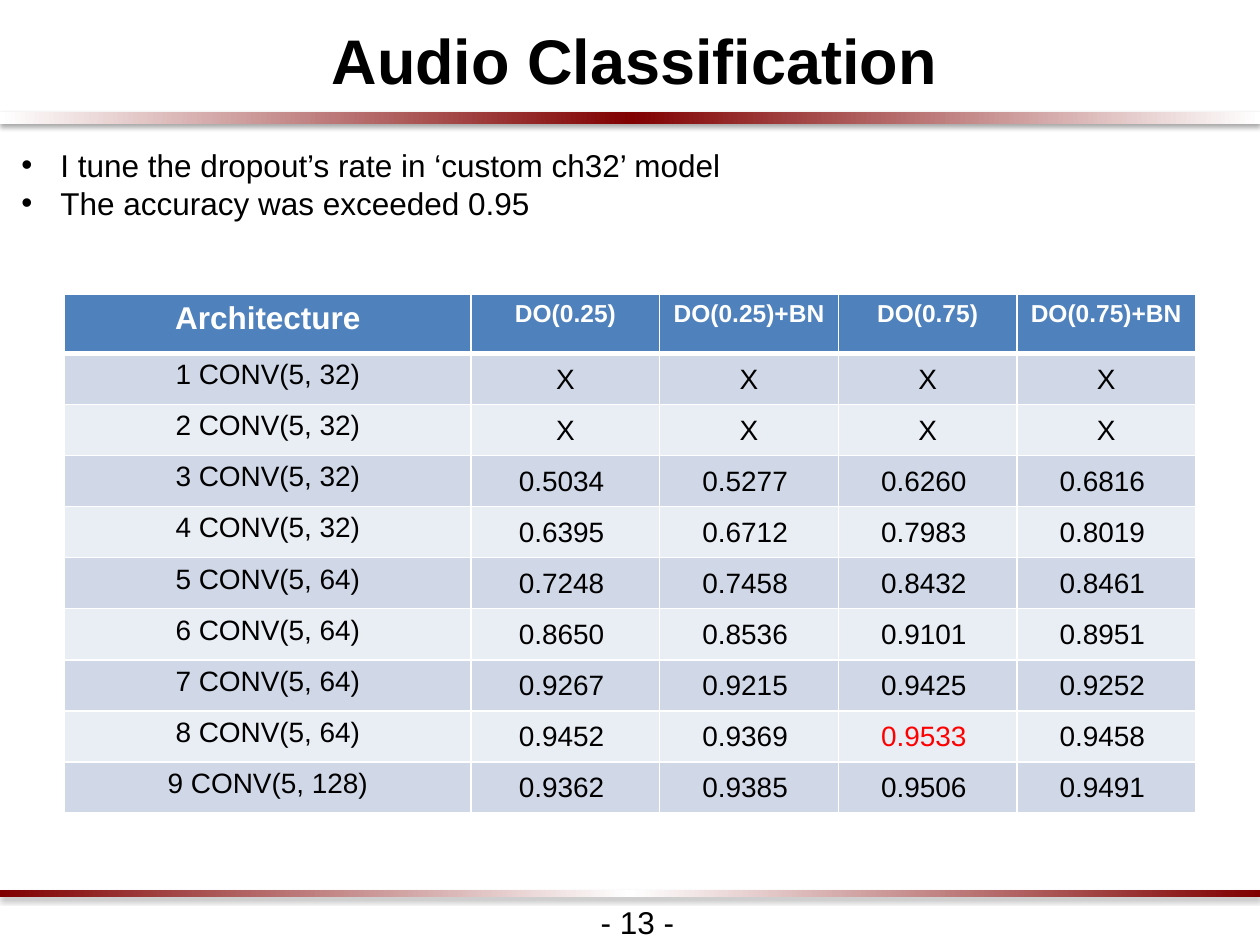
"""Build the audio classification slide with its dropout accuracy table."""
from pptx import Presentation
from pptx.dml.color import RGBColor
from pptx.enum.shapes import MSO_SHAPE
from pptx.enum.text import MSO_ANCHOR, PP_ALIGN
from pptx.oxml import parse_xml
from pptx.util import Cm, Pt

RECT = MSO_SHAPE.RECTANGLE
MIDDLE = MSO_ANCHOR.MIDDLE
CENTER = PP_ALIGN.CENTER
FONT = "Arial"
NS = 'xmlns:a="http://schemas.openxmlformats.org/drawingml/2006/main"'

COLORS = {
    "black": "000000", "white": "FFFFFF", "maroon": "800000", "red": "FF0000",
    "head": "4F81BD", "odd": "D0D8E8", "even": "E9EDF4",
}
TITLE = "Audio Classification"
POINTS = [
    "I tune the dropout’s rate in ‘custom ch32’ model",
    "The accuracy was exceeded 0.95",
]
PAGE = "- 13 -"
HEADS = ["Architecture", "DO(0.25)", "DO(0.25)+BN", "DO(0.75)", "DO(0.75)+BN"]
SCORES = [
    ("1 CONV(5, 32)", "X", "X", "X", "X"),
    ("2 CONV(5, 32)", "X", "X", "X", "X"),
    ("3 CONV(5, 32)", 0.5034, 0.5277, 0.6260, 0.6816),
    ("4 CONV(5, 32)", 0.6395, 0.6712, 0.7983, 0.8019),
    ("5 CONV(5, 64)", 0.7248, 0.7458, 0.8432, 0.8461),
    ("6 CONV(5, 64)", 0.8650, 0.8536, 0.9101, 0.8951),
    ("7 CONV(5, 64)", 0.9267, 0.9215, 0.9425, 0.9252),
    ("8 CONV(5, 64)", 0.9452, 0.9369, 0.9533, 0.9458),
    ("9 CONV(5, 128)", 0.9362, 0.9385, 0.9506, 0.9491),
]
BARS = [
    (2.26, 0.25, ("white", "maroon", "white")),
    (17.95, 0.13, ("maroon", "white", "maroon")),
]
WIDTHS = [8.2, 3.8, 3.6, 3.6, 3.6]
HEAD_H, ROW_H = 1.19, 1.03


def style(para, size, color="black", bold=False):
    for run in para.runs:
        font = run.font
        font.name, font.size, font.bold = FONT, Pt(size), bold
        font.color.rgb = RGBColor.from_string(COLORS[color])


def add_bar(slide, top, height, hues):
    bar = slide.shapes.add_shape(RECT, 0, Cm(top), Cm(25.4), Cm(height))
    stops = "".join(
        f'<a:gs pos="{i * 50000}"><a:srgbClr val="{COLORS[hue]}"/></a:gs>'
        for i, hue in enumerate(hues))
    parts = [
        f'<a:gradFill {NS}><a:gsLst>{stops}</a:gsLst><a:lin ang="0" scaled="0"/></a:gradFill>',
        f'<a:ln {NS}><a:noFill/></a:ln>',
        f'<a:effectLst {NS}><a:outerShdw blurRad="{Pt(3.1)}" dist="{Pt(1.8)}" dir="5400000" '
        f'rotWithShape="0"><a:srgbClr val="{COLORS["black"]}"><a:alpha val="35000"/></a:srgbClr>'
        '</a:outerShdw></a:effectLst>',
    ]
    for part in parts:
        bar._element.spPr.append(parse_xml(part))


def add_text(slide, lines, left, top, width, height, size, wrap=True, bold=False):
    box = slide.shapes.add_textbox(Cm(left), Cm(top), Cm(width), Cm(height))
    frame = box.text_frame
    frame.text = "\n".join(lines)
    frame.word_wrap = wrap
    for para in frame.paragraphs:
        style(para, size, bold=bold)
    return frame


def add_bullet(para):
    props = para._p.get_or_add_pPr()
    props.set("marL", str(Cm(0.79)))
    props.set("indent", str(Cm(-0.79)))
    props.append(parse_xml(f'<a:buFont {NS} typeface="{FONT}"/>'))
    props.append(parse_xml(f'<a:buChar {NS} char="•"/>'))


def add_edges(cell, base):
    props = cell._tc.get_or_add_tcPr()
    edges = {"lnL": 1, "lnR": 1, "lnT": 1, "lnB": base}
    for i, (tag, width) in enumerate(edges.items()):
        props.insert(i, parse_xml(
            f'<a:{tag} {NS} w="{Pt(width)}"><a:solidFill>'
            f'<a:srgbClr val="{COLORS["white"]}"/></a:solidFill></a:{tag}>'))


def fill_cell(cell, value, row, col, best):
    score = isinstance(value, float)
    cell.text = f"{value:.4f} " if score else value
    para = cell.text_frame.paragraphs[0]
    para.alignment = CENTER
    if row == 0:
        hue = "head"
        style(para, 14 if col else 18, "white", True)
    else:
        hue = "odd" if row % 2 else "even"
        style(para, 16, "red" if value == best else "black")
        if col:
            cell.vertical_anchor = MIDDLE
            cell.margin_left = cell.margin_right = cell.margin_top = Cm(0.03)
            cell.margin_bottom = 0
    cell.fill.solid()
    cell.fill.fore_color.rgb = RGBColor.from_string(COLORS[hue])
    add_edges(cell, 1 if row else 3)


def add_scores(slide):
    rows = [HEADS, *SCORES]
    high = HEAD_H + ROW_H * len(SCORES)
    table = slide.shapes.add_table(
        len(rows), len(HEADS), Cm(1.3), Cm(5.93), Cm(sum(WIDTHS)), Cm(high)).table
    for col, width in zip(table.columns, WIDTHS):
        col.width = Cm(width)
    best = max(v for line in SCORES for v in line if isinstance(v, float))
    for r, line in enumerate(rows):
        table.rows[r].height = Cm(ROW_H if r else HEAD_H)
        for c, value in enumerate(line):
            fill_cell(table.cell(r, c), value, r, c, best)


def main():
    deck = Presentation()
    deck.slide_width, deck.slide_height = Cm(25.4), Cm(19.05)
    slide = deck.slides.add_slide(deck.slide_layouts[6])
    for bar in BARS:
        add_bar(slide, *bar)
    title = add_text(slide, [TITLE], -0.58, 0.08, 26.54, 2, 36, bold=True)
    title.vertical_anchor = MIDDLE
    head = title.paragraphs[0]
    head.alignment, head.line_spacing = CENTER, 1.15
    head._p.get_or_add_pPr().set("marL", str(Cm(0.2)))
    notes = add_text(slide, POINTS, 0.18, 2.82, 23.93, 2.69, 18)
    for para in notes.paragraphs:
        add_bullet(para)
    add_text(slide, [PAGE], 11.86, 18.08, 2, 1.02, 18, wrap=False)
    add_scores(slide)
    deck.save("out.pptx")


if __name__ == "__main__":
    main()
